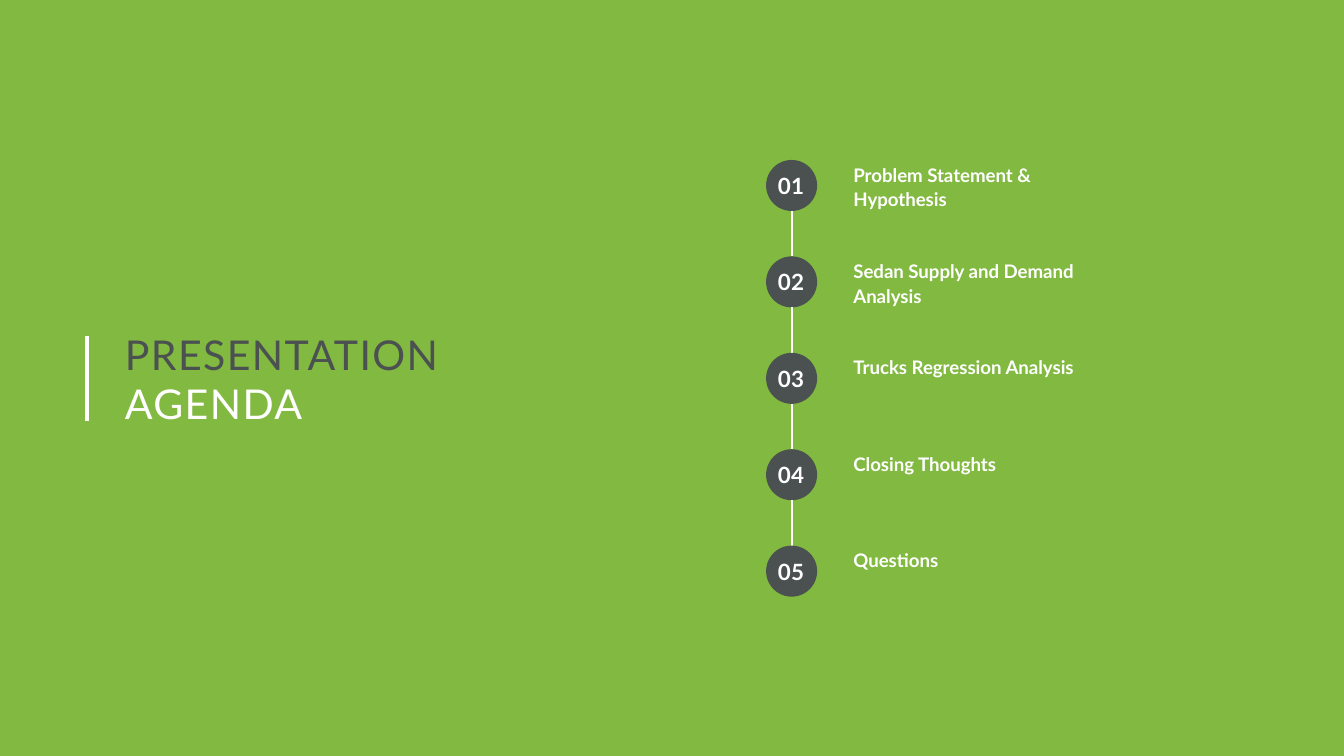
from collections import namedtuple
from dataclasses import dataclass

from lxml.etree import SubElement
from pptx import Presentation
from pptx.dml.color import RGBColor
from pptx.enum.shapes import MSO_CONNECTOR, MSO_SHAPE
from pptx.enum.text import MSO_AUTO_SIZE, PP_ALIGN
from pptx.oxml.ns import qn
from pptx.util import Inches, Pt

Box = namedtuple("Box", "left top width height")


@dataclass(frozen=True)
class Theme:
    font: str = "Lato"
    paper: RGBColor = RGBColor.from_string("F6F8FA")
    green: RGBColor = RGBColor.from_string("82B941")
    dark: RGBColor = RGBColor.from_string("4B5050")
    white: RGBColor = RGBColor.from_string("FFFFFF")
    title_size: int = 22
    number_size: int = 12
    label_size: int = 10


THEME = Theme()
AGENDA = [
    "Problem Statement & Hypothesis",
    "Sedan Supply and Demand Analysis",
    "Trucks Regression Analysis",
    "Closing Thoughts",
    "Questions",
]


def add_filled_shape(shapes, kind, box, color):
    shape = shapes.add_shape(kind, *map(Inches, box))
    shape.shadow.inherit = False
    shape.fill.solid()
    shape.fill.fore_color.rgb = color
    shape.line.fill.background()


def add_vertical_line(shapes, x, top, bottom, width):
    line = shapes.add_connector(
        MSO_CONNECTOR.STRAIGHT, Inches(x), Inches(top), Inches(x), Inches(bottom)
    )
    line.line.color.rgb = THEME.white
    line.line.width = Pt(width)
    SubElement(line._element.spPr, qn("a:effectLst"))


def add_text(shapes, box, lines, size, bold=False, align=PP_ALIGN.LEFT,
             line_spacing=None, letter_spacing=0):
    """Add one paragraph for each (text, color) pair; letter spacing is in points."""
    frame = shapes.add_textbox(*map(Inches, box)).text_frame
    frame.margin_left = frame.margin_right = frame.margin_top = frame.margin_bottom = 0
    frame.word_wrap = True
    frame.auto_size = MSO_AUTO_SIZE.SHAPE_TO_FIT_TEXT
    for index, (text, color) in enumerate(lines):
        paragraph = frame.add_paragraph() if index else frame.paragraphs[0]
        paragraph.alignment = align
        paragraph.line_spacing = line_spacing
        run = paragraph.add_run()
        run.text = text
        paragraph.font.name = THEME.font
        paragraph.font.size = Pt(size)
        paragraph.font.bold = bold
        paragraph.font.color.rgb = color
        if letter_spacing:
            run._r.get_or_add_rPr().set("spc", str(round(letter_spacing * 100)))


def add_title(shapes, box):
    add_vertical_line(shapes, box.left, box.top + 0.05, box.top + 0.68, 2.25)
    add_text(
        shapes,
        Box(box.left + 0.28, box.top, box.width - 0.28, box.height),
        [("PRESENTATION", THEME.dark), ("AGENDA", THEME.white)],
        THEME.title_size,
        letter_spacing=0.8,
    )


def add_agenda(shapes, box, items):
    """Stack numbered circles joined by lines, each with its label to the right."""
    diameter = 0.38
    label_indent = 0.65
    pitch = (box.height - diameter) / (len(items) - 1)
    group = shapes.add_group_shape().shapes
    for index, item in enumerate(items):
        top = box.top + index * pitch
        add_filled_shape(group, MSO_SHAPE.OVAL,
                         Box(box.left, top, diameter, diameter), THEME.dark)
        add_text(group, Box(box.left + 0.01, top + 0.09, 0.35, 0.2),
                 [(f"{index + 1:02}", THEME.white)], THEME.number_size,
                 bold=True, align=PP_ALIGN.CENTER, letter_spacing=0.2)
        add_text(group,
                 Box(box.left + label_indent, top + 0.01, box.width - label_indent, 0.36),
                 [(item, THEME.white)], THEME.label_size, bold=True, line_spacing=1.1)
        if index < len(items) - 1:
            add_vertical_line(group, box.left + diameter / 2,
                              top + diameter, top + pitch, 1)


def build_agenda_slide(presentation, page):
    slide = presentation.slides.add_slide(presentation.slide_layouts[6])
    slide.background.fill.solid()
    slide.background.fill.fore_color.rgb = THEME.paper
    add_filled_shape(slide.shapes, MSO_SHAPE.RECTANGLE, page, THEME.green)
    add_title(slide.shapes, Box(0.65, 2.45, 4.24, 0.74))
    add_agenda(slide.shapes, Box(5.7, 1.19, 2.45, 3.25), AGENDA)


def main():
    page_width = 10
    page = Box(0, 0, page_width, page_width * 9 / 16)
    presentation = Presentation()
    presentation.slide_width = Inches(page.width)
    presentation.slide_height = Inches(page.height)
    build_agenda_slide(presentation, page)
    presentation.save("out.pptx")


if __name__ == "__main__":
    main()
